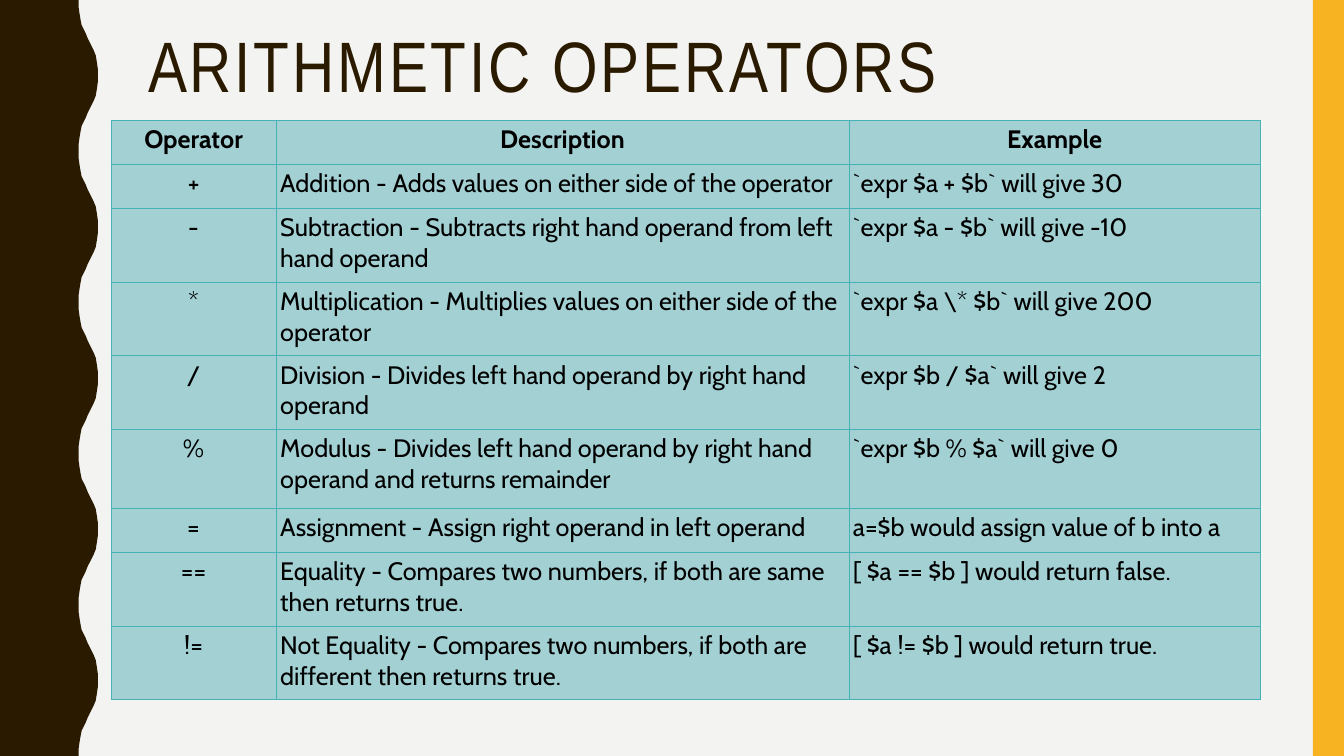
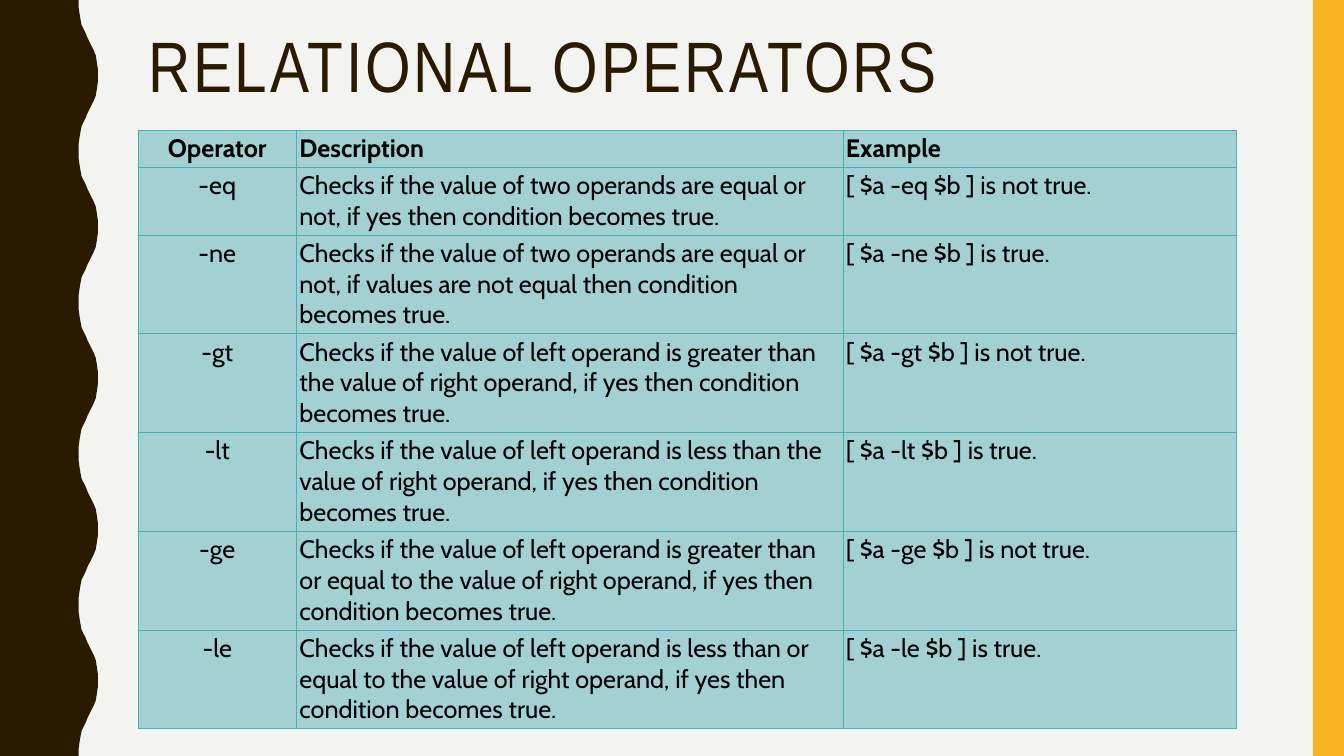
"""Build two slides of shell operator tables beside a wavy band."""
import pptx
import pptx.dml.color
import pptx.enum.text
import pptx.util
from lxml import etree
from pptx.oxml.ns import qn

PX = 9144
WIDTH, HEIGHT = 1333, 750
BROWN, AMBER, PAPER = "2A1A00", "F8B323", "F3F3F2"
CELL, BORDER, BLACK = "A3D0D3", "46B2B5", "000000"
TITLE_FONT, BODY_FONT = "Arial Narrow", "Cabin"
TITLE_BOX = (137, 26, 1113, 112)
ACCENT_WIDTH = 31
WAVE_COUNT = 5
WAVE_PERIOD = HEIGHT // WAVE_COUNT
HALF_WAVE = [(78, 0), (78, 7), (79, 14), (80, 20), (81, 25), (83, 29), (85, 33),
             (87, 38), (89, 42), (91, 46), (93, 50), (95, 55), (96, 61), (97, 68), (97, 75)]
HEADER = ("Operator", "Description", "Example")
LEFT = pptx.enum.text.PP_ALIGN.LEFT
CENTER = pptx.enum.text.PP_ALIGN.CENTER

SLIDES = [
    {
        "title": "ARITHMETIC OPERATORS",
        "origin": (110, 119),
        "columns": (164, 568, 408),
        "heights": (44, 44, 73, 73, 73, 78, 44, 73, 73),
        "inset": 4,
        "header_alignment": CENTER,
        "rows": [
            ("+", "Addition - Adds values on either side of the operator",
             "`expr $a + $b` will give 30"),
            ("-", "Subtraction - Subtracts right hand operand from left hand operand",
             "`expr $a - $b` will give -10"),
            ("*", "Multiplication - Multiplies values on either side of the operator",
             "`expr $a \\* $b` will give 200"),
            ("/", "Division - Divides left hand operand by right hand operand",
             "`expr $b / $a` will give 2"),
            ("%", "Modulus - Divides left hand operand by right hand operand and returns remainder",
             "`expr $b % $a` will give 0"),
            ("=", "Assignment - Assign right operand in left operand",
             "a=$b would assign value of b into a"),
            ("==", "Equality - Compares two numbers, if both are same then returns true.",
             "[ $a == $b ] would return false."),
            ("!=", "Not Equality - Compares two numbers, if both are different then returns true.",
             "[ $a != $b ] would return true."),
        ],
    },
    {
        "title": "RELATIONAL OPERATORS",
        "origin": (137, 129),
        "columns": (157, 542, 390),
        "heights": (37, 67, 98, 98, 98, 98, 98),
        "inset": 3,
        "header_alignment": LEFT,
        "rows": [
            ("-eq", "Checks if the value of two operands are equal or not, "
             "if yes then condition becomes true.", "[ $a -eq $b ] is not true."),
            ("-ne", "Checks if the value of two operands are equal or not, "
             "if values are not equal then condition becomes true.", "[ $a -ne $b ] is true."),
            ("-gt", "Checks if the value of left operand is greater than the value of right operand, "
             "if yes then condition becomes true.", "[ $a -gt $b ] is not true."),
            ("-lt", "Checks if the value of left operand is less than the value of right operand, "
             "if yes then condition becomes true.", "[ $a -lt $b ] is true."),
            ("-ge", "Checks if the value of left operand is greater than or equal to the value of "
             "right operand, if yes then condition becomes true.", "[ $a -ge $b ] is not true."),
            ("-le", "Checks if the value of left operand is less than or equal to the value of "
             "right operand, if yes then condition becomes true.", "[ $a -le $b ] is true."),
        ],
    },
]


def color(value):
    return pptx.dml.color.RGBColor.from_string(value)


def paint(fill, value):
    fill.solid()
    fill.fore_color.rgb = color(value)


def add_run(paragraph, text, font, size, value, bold=False):
    run = paragraph.add_run()
    run.text = text
    run.font.name = font
    run.font.size = pptx.util.Pt(size)
    run.font.bold = bold
    run.font.color.rgb = color(value)
    return run


def wave_points():
    mirrored = [(x, WAVE_PERIOD - y) for x, y in reversed(HALF_WAVE[1:-1])]
    edge = [(x, y + wave * WAVE_PERIOD)
            for wave in range(WAVE_COUNT) for x, y in HALF_WAVE + mirrored]
    return edge + [(HALF_WAVE[0][0], HEIGHT), (0, HEIGHT)]


def decorate_master(master, slide):
    paint(master.background.fill, PAPER)
    builder = slide.shapes.build_freeform(0, 0, scale=PX)
    builder.add_line_segments(wave_points(), close=True)
    wave = builder.convert_to_shape()
    accent = slide.shapes.add_shape(
        pptx.enum.shapes.MSO_SHAPE.RECTANGLE,
        (WIDTH - ACCENT_WIDTH) * PX, 0, ACCENT_WIDTH * PX, HEIGHT * PX)
    for index, (shape, value) in enumerate([(wave, BROWN), (accent, AMBER)]):
        shape.shadow.inherit = False
        paint(shape.fill, value)
        shape.line.fill.background()
        shape.element.nvSpPr.cNvPr.set("id", str(101 + index))
        master.shapes.element.insert(2 + index, shape.element)


def set_title(slide, text):
    title = slide.shapes.title
    title.left, title.top, title.width, title.height = [length * PX for length in TITLE_BOX]
    frame = title.text_frame
    frame.word_wrap = True
    frame.auto_size = pptx.enum.text.MSO_AUTO_SIZE.NONE
    frame.vertical_anchor = pptx.enum.text.MSO_ANCHOR.TOP
    paragraph = frame.paragraphs[0]
    paragraph.alignment = LEFT
    paragraph.line_spacing = 0.9
    run = add_run(paragraph, text, TITLE_FONT, 51, BROWN)
    run.font.element.set("spc", "200") if hasattr(run.font, "element") else \
        run._r.get_or_add_rPr().set("spc", "200")


def add_borders(cell):
    properties = cell._tc.get_or_add_tcPr()
    for side in ("lnL", "lnR", "lnT", "lnB"):
        line = etree.SubElement(properties, qn("a:" + side), w=str(pptx.util.Pt(0.5)))
        fill = etree.SubElement(line, qn("a:solidFill"))
        etree.SubElement(fill, qn("a:srgbClr"), val=BORDER)


def add_operator_table(slide, content):
    rows = [HEADER] + content["rows"]
    left, top = content["origin"]
    columns, heights = content["columns"], content["heights"]
    table = slide.shapes.add_table(
        len(rows), len(columns), left * PX, top * PX,
        sum(columns) * PX, sum(heights) * PX).table
    table.first_row = table.horz_banding = False
    for column, width in zip(table.columns, columns):
        column.width = width * PX
    for row_index, (row, height) in enumerate(zip(rows, heights)):
        table.rows[row_index].height = height * PX
        is_header = row_index == 0
        for column_index, text in enumerate(row):
            cell = table.cell(row_index, column_index)
            inset = content["inset"] * PX
            cell.margin_left = cell.margin_right = inset
            cell.margin_top = cell.margin_bottom = inset
            add_borders(cell)
            paint(cell.fill, CELL)
            paragraph = cell.text_frame.paragraphs[0]
            if column_index == 0:
                paragraph.alignment = CENTER
            else:
                paragraph.alignment = content["header_alignment"] if is_header else LEFT
            add_run(paragraph, text, BODY_FONT, 18, BLACK, is_header)


def main():
    presentation = pptx.Presentation()
    presentation.slide_width, presentation.slide_height = WIDTH * PX, HEIGHT * PX
    title_only = presentation.slide_layouts[5]
    for index, content in enumerate(SLIDES):
        slide = presentation.slides.add_slide(title_only)
        if index == 0:
            decorate_master(presentation.slide_master, slide)
        set_title(slide, content["title"])
        add_operator_table(slide, content)
    presentation.save("out.pptx")


if __name__ == "__main__":
    main()
